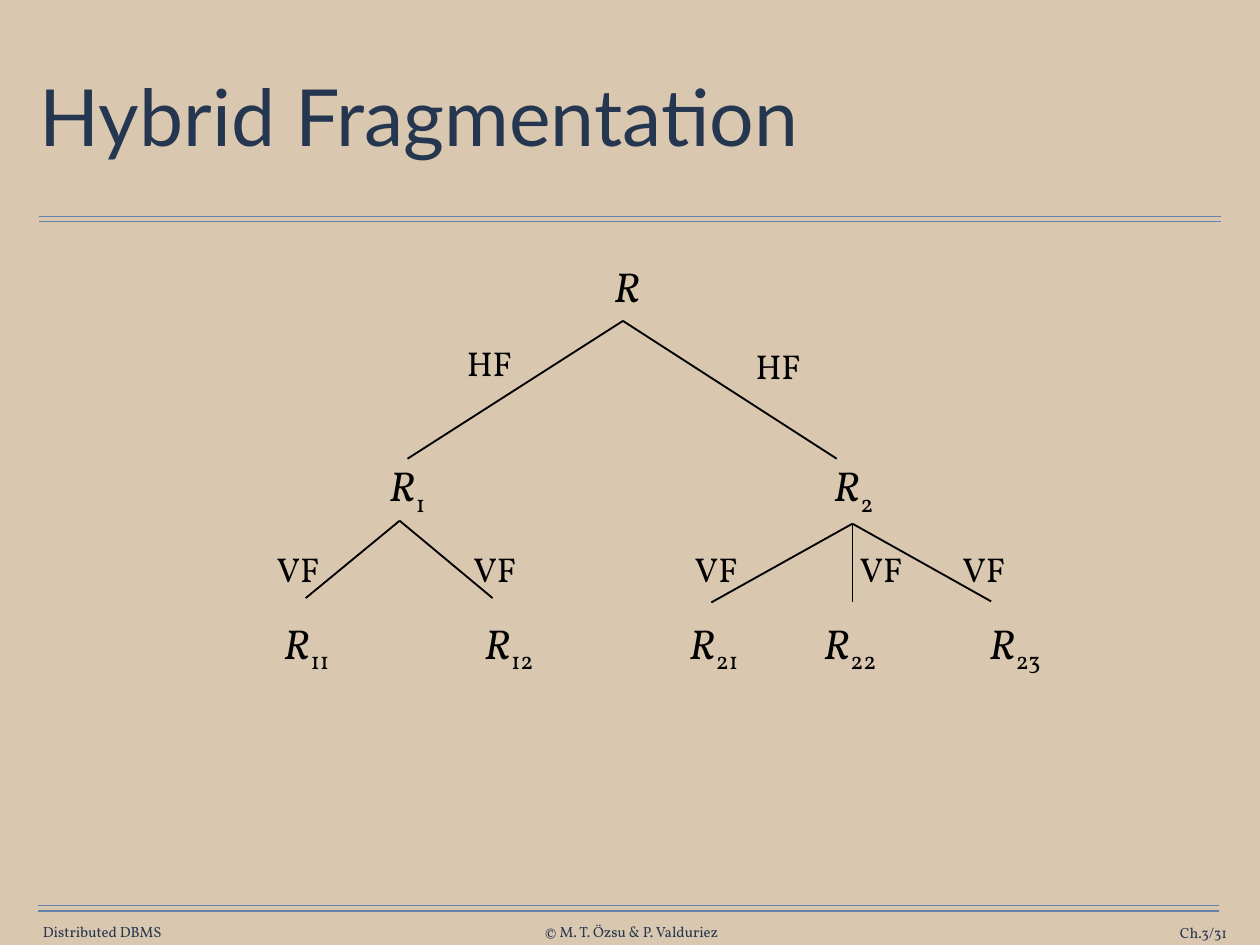
"""Build the hybrid fragmentation tree slide on a grid of 64 columns by 48 rows."""
from dataclasses import dataclass

from lxml.etree import SubElement
from pptx import Presentation
from pptx.dml.color import RGBColor
from pptx.enum.shapes import MSO_CONNECTOR as Connector
from pptx.enum.text import MSO_ANCHOR as Anchor
from pptx.enum.text import MSO_AUTO_SIZE as AutoSize
from pptx.enum.text import PP_ALIGN as Align
from pptx.oxml.ns import qn
from pptx.slide import Slide
from pptx.text.text import TextFrame
from pptx.util import Length, Pt

COLUMNS, ROWS, CELL = 64, 48, 16
SAND = RGBColor(0xD9, 0xC8, 0xAF)
NAVY = RGBColor(0x25, 0x37, 0x50)
FOOTER_NAVY = RGBColor(0x26, 0x37, 0x50)
RULE_BLUE = RGBColor(0x66, 0x82, 0xAA)
BLACK = RGBColor(0, 0, 0)
TITLE_FONT, BODY_FONT = "Lato", "Vollkorn"


@dataclass
class Label:
    """A tree label centred on a column, with an optional subscript."""
    text: str
    center: float
    row: float
    width: float
    height: float
    size: int
    sub: str = ""
    italic: bool = False


@dataclass
class Footer:
    """A footer text."""
    text: str
    col: float
    row: float
    width: float
    align: Align
    wrap: bool = False


@dataclass
class Line:
    """A straight line between two grid points."""
    x1: float
    y1: float
    x2: float
    y2: float
    color: RGBColor = BLACK
    weight: float = 1.5


def node(sub: str, center: float, row: float, width: float) -> Label:
    """Describe a relation of the tree."""
    return Label("R", center, row, width, 3.2, 34, sub, True)


def step(text: str, center: float, row: float) -> Label:
    """Describe the kind of fragmentation on a branch."""
    return Label(text, center, row, 3.65, 2.75, 28)


RULES = [Line(left, top + gap, right, top + gap, RULE_BLUE, 1)
         for left, right, top in ((2, 62, 11), (1.94, 61.92, 46))
         for gap in (0, 0.27)]

FOOTERS = [
    Footer("Distributed DBMS", 2.1, 46.85, 6.2, Align.CENTER),
    Footer("© M. T. Özsu & P. Valduriez", 27.4, 46.85, 9.36, Align.CENTER),
    Footer("Ch.3/31", 55.4, 46.94, 6.93, Align.RIGHT, True),
]

LABELS = [
    node("", 31.86, 12.9, 3.15),
    step("HF", 24.86, 17.05),
    step("HF", 39.53, 17.2),
    node("1", 20.68, 23.05, 3.65),
    node("2", 43.36, 23.05, 3.65),
    *(step("VF", x, 27.5) for x in (15.14, 25.13, 36.38, 44.75, 49.97)),
    *(node(sub, x, 31.05, 4.45) for sub, x in (
        ("11", 15.57), ("12", 25.85), ("21", 36.25),
        ("22", 43.18), ("23", 51.55))),
]

BRANCHES = [Line(x, y, *end) for (x, y), ends in (
    ((31.64, 16.3), ((20.7, 23.3), (42.5, 23.3))),
    ((20.3, 26.45), ((15.53, 30.38), (25.02, 30.38))),
    ((43.3, 26.6), ((36.13, 30.6), (43.3, 30.6), (50.35, 30.55))),
) for end in ends]


def grid(cells: float) -> Length:
    """Turn grid cells into a length."""
    return Pt(cells * CELL)


def set_margins(tf: TextFrame, side: float, edge: float) -> None:
    """Set the inner margins of a text frame."""
    tf.margin_left = tf.margin_right = grid(side)
    tf.margin_top = tf.margin_bottom = grid(edge)


def format_text(tf: TextFrame, font: str, size: int, color: RGBColor,
                align: Align) -> None:
    """Format the paragraph and all its runs."""
    p = tf.paragraphs[0]
    p.alignment = align
    for r in p.runs:
        r.font.name, r.font.size = font, Pt(size)
        r.font.color.rgb = color


def add_line(s: Slide, line: Line) -> None:
    """Draw a line without a shadow."""
    ends = (grid(v) for v in (line.x1, line.y1, line.x2, line.y2))
    c = s.shapes.add_connector(Connector.STRAIGHT, *ends)
    c.line.color.rgb = line.color
    c.line.width = Pt(line.weight)
    SubElement(c._element.spPr, qn("a:effectLst"))


def add_title(s: Slide, text: str) -> None:
    """Fill, move and format the title placeholder."""
    sp = s.shapes.title
    sp.left, sp.top, sp.width, sp.height = map(grid, (1.75, 2.2, 60.5, 7.9))
    tf = sp.text_frame
    tf.text = text
    tf.word_wrap, tf.auto_size = True, AutoSize.NONE
    tf.vertical_anchor = Anchor.MIDDLE
    set_margins(tf, 0.27, 0.27)
    tf.paragraphs[0].line_spacing = 0.9
    format_text(tf, TITLE_FONT, 64, NAVY, Align.LEFT)


def add_footer(s: Slide, footer: Footer) -> None:
    """Draw a footer text."""
    box = map(grid, (footer.col, footer.row, footer.width, 0.9))
    tf = s.shapes.add_textbox(*box).text_frame
    tf.text = footer.text
    tf.word_wrap, tf.auto_size = footer.wrap, AutoSize.SHAPE_TO_FIT_TEXT
    tf.vertical_anchor = Anchor.MIDDLE
    set_margins(tf, 0, 0)
    format_text(tf, BODY_FONT, 12, FOOTER_NAVY, footer.align)


def add_label(s: Slide, label: Label) -> None:
    """Draw a tree label and its subscript."""
    left = label.center - label.width / 2
    box = map(grid, (left, label.row, label.width, label.height))
    tf = s.shapes.add_textbox(*box).text_frame
    tf.text = label.text
    tf.word_wrap, tf.auto_size = False, AutoSize.SHAPE_TO_FIT_TEXT
    set_margins(tf, 0.63, 0.32)
    p = tf.paragraphs[0]
    p.runs[0].font.italic = label.italic
    if label.sub:
        r = p.add_run()
        r.text = label.sub
        r.font._element.set("baseline", "-25000")
    format_text(tf, BODY_FONT, label.size, BLACK, Align.CENTER)


def main() -> None:
    """Build and save the slide."""
    prs = Presentation()
    prs.slide_width, prs.slide_height = grid(COLUMNS), grid(ROWS)
    s = prs.slides.add_slide(prs.slide_layouts[5])
    s.background.fill.solid()
    s.background.fill.fore_color.rgb = SAND
    add_title(s, "Hybrid Fragmentation")
    for line in RULES + BRANCHES:
        add_line(s, line)
    for footer in FOOTERS:
        add_footer(s, footer)
    for label in LABELS:
        add_label(s, label)
    prs.save("out.pptx")


if __name__ == "__main__":
    main()
